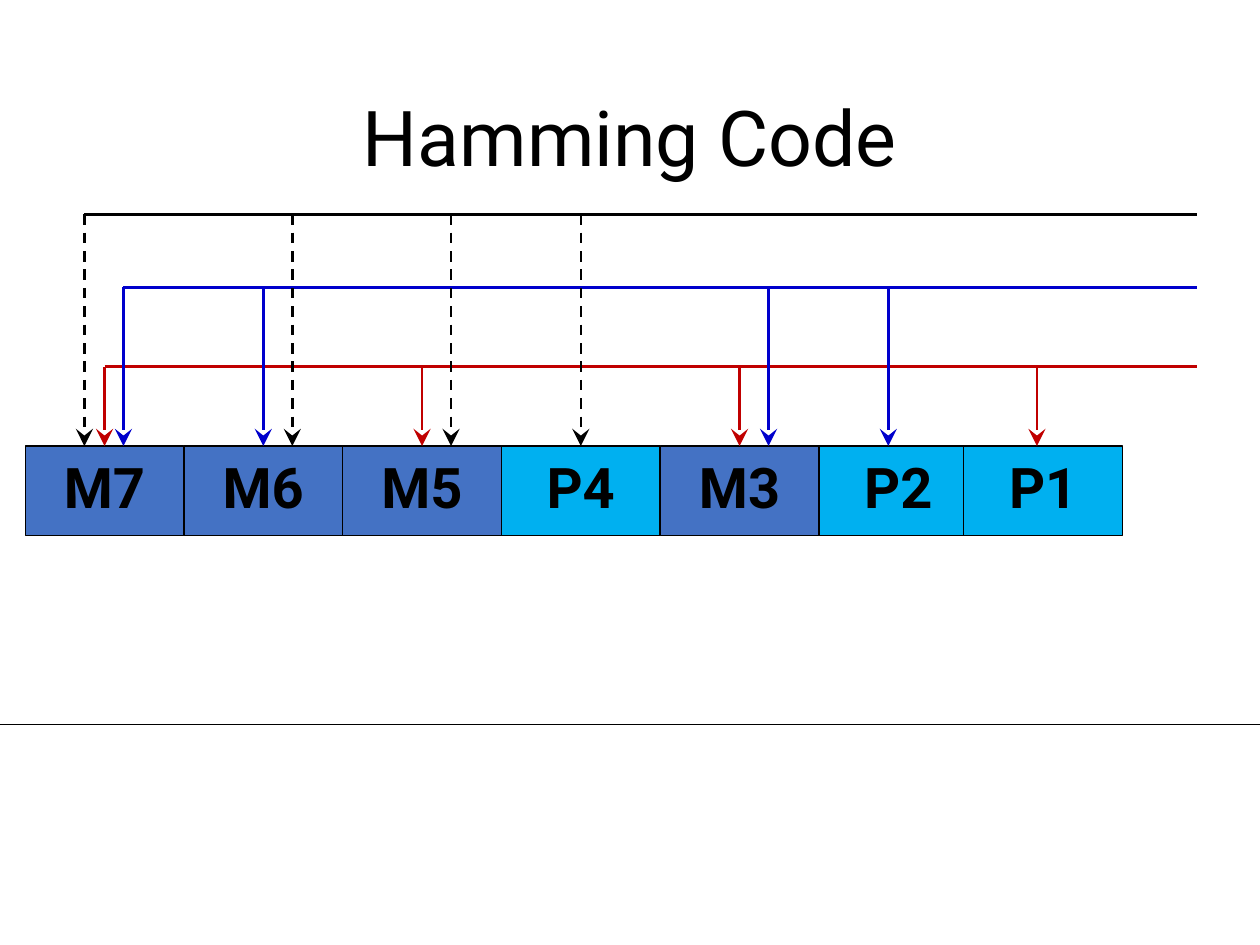
"""Build the Hamming Code slide: a codeword row with three parity groups."""
from dataclasses import dataclass

from pptx import Presentation
from pptx.dml.color import RGBColor
from pptx.enum.dml import MSO_LINE
from pptx.enum.shapes import MSO_CONNECTOR, MSO_SHAPE
from pptx.enum.text import MSO_ANCHOR, PP_ALIGN
from pptx.oxml.ns import qn
from pptx.util import Inches, Pt
from lxml.etree import SubElement


@dataclass(frozen=True)
class Theme:
    """Colours, font and sizes of the slide."""
    font: str = "Roboto"
    black: str = "000000"
    message: str = "4472C4"
    parity: str = "00B0F0"
    red: str = "C00000"
    blue: str = "0000CC"
    title_pt: float = 44
    bit_pt: float = 32
    bus_pt: float = 1.75
    drop_pt: float = 1.5
    border_pt: float = 0.75
    rule_pt: float = 0.5


@dataclass(frozen=True)
class Bit:
    """One cell of the codeword."""
    label: str
    x: float


@dataclass(frozen=True)
class Group:
    """A parity group: a bus with arrows to the bits it covers."""
    y: float
    color: str
    drops: tuple[float, ...]
    dashed: bool = False


T = Theme()
BIT_LEFT, BIT_TOP, BIT_W, BIT_H = 0.2, 3.54, 1.26, 0.71
BUS_RIGHT = 9.5
LABELS = ("M7", "M6", "M5", "P4", "M3", "P2")
BITS = [Bit(label, BIT_LEFT + i * BIT_W) for i, label in enumerate(LABELS)]
BITS.append(Bit("P1", 7.65))
GROUPS = (
    Group(2.91, T.red, (0.83, 3.35, 5.87, 8.23)),
    Group(2.28, T.blue, (0.98, 2.09, 6.1, 7.05)),
    Group(1.7, T.black, (0.67, 2.32, 3.58, 4.61), dashed=True),
)


def add_text(tf, text: str, size: float, bold: bool = False):
    """Put one centred run in the frame and return its paragraph."""
    p = tf.paragraphs[0]
    p.alignment = PP_ALIGN.CENTER
    r = p.add_run()
    r.text = text
    r.font.name, r.font.size, r.font.bold = T.font, Pt(size), bold
    r.font.color.rgb = RGBColor.from_string(T.black)
    return p


def add_title(s, text: str) -> None:
    """Place and fill the title placeholder."""
    sp = s.shapes.title
    sp.left, sp.top, sp.width, sp.height = map(Inches, (0.69, 0.4, 8.62, 1.45))
    sp.text_frame.vertical_anchor = MSO_ANCHOR.MIDDLE
    add_text(sp.text_frame, text, T.title_pt).line_spacing = 0.9


def add_line(s, x1: float, y1: float, x2: float, y2: float, color: str,
             width: float, dashed: bool = False, arrow: bool = False) -> None:
    """Draw a straight line, optionally dashed or with an arrowhead."""
    c = s.shapes.add_connector(MSO_CONNECTOR.STRAIGHT,
                               *map(Inches, (x1, y1, x2, y2)))
    c.line.color.rgb = RGBColor.from_string(color)
    c.line.width = Pt(width)
    if dashed:
        c.line.dash_style = MSO_LINE.DASH
    if arrow:
        SubElement(c.line._get_or_add_ln(), qn("a:tailEnd"),
                   type="stealth", w="lg", len="lg")
    SubElement(c._element.spPr, qn("a:effectLst"))


def add_bit(s, bit: Bit) -> None:
    """Draw one codeword cell, coloured by message or parity."""
    sp = s.shapes.add_shape(MSO_SHAPE.RECTANGLE,
                            *map(Inches, (bit.x, BIT_TOP, BIT_W, BIT_H)))
    sp.shadow.inherit = False
    sp.fill.solid()
    color = T.parity if bit.label.startswith("P") else T.message
    sp.fill.fore_color.rgb = RGBColor.from_string(color)
    sp.line.color.rgb = RGBColor.from_string(T.black)
    sp.line.width = Pt(T.border_pt)
    sp.text_frame.vertical_anchor = MSO_ANCHOR.TOP
    add_text(sp.text_frame, bit.label, T.bit_pt, bold=True)


def add_group(s, group: Group) -> None:
    """Draw a bus and its arrows down to the codeword."""
    add_line(s, group.drops[0], group.y, BUS_RIGHT, group.y,
             group.color, T.bus_pt)
    for x in group.drops:
        add_line(s, x, group.y, x, BIT_TOP, group.color, T.drop_pt,
                 dashed=group.dashed, arrow=True)


def main() -> None:
    """Build and save the presentation."""
    prs = Presentation()
    prs.slide_width, prs.slide_height = Inches(10), Inches(7.5)
    s = prs.slides.add_slide(prs.slide_layouts[5])
    add_line(s, 0, 5.75, 10, 5.75, T.black, T.rule_pt)
    add_title(s, "Hamming Code")
    for bit in BITS:
        add_bit(s, bit)
    for group in GROUPS:
        add_group(s, group)
    prs.save("out.pptx")


if __name__ == "__main__":
    main()
